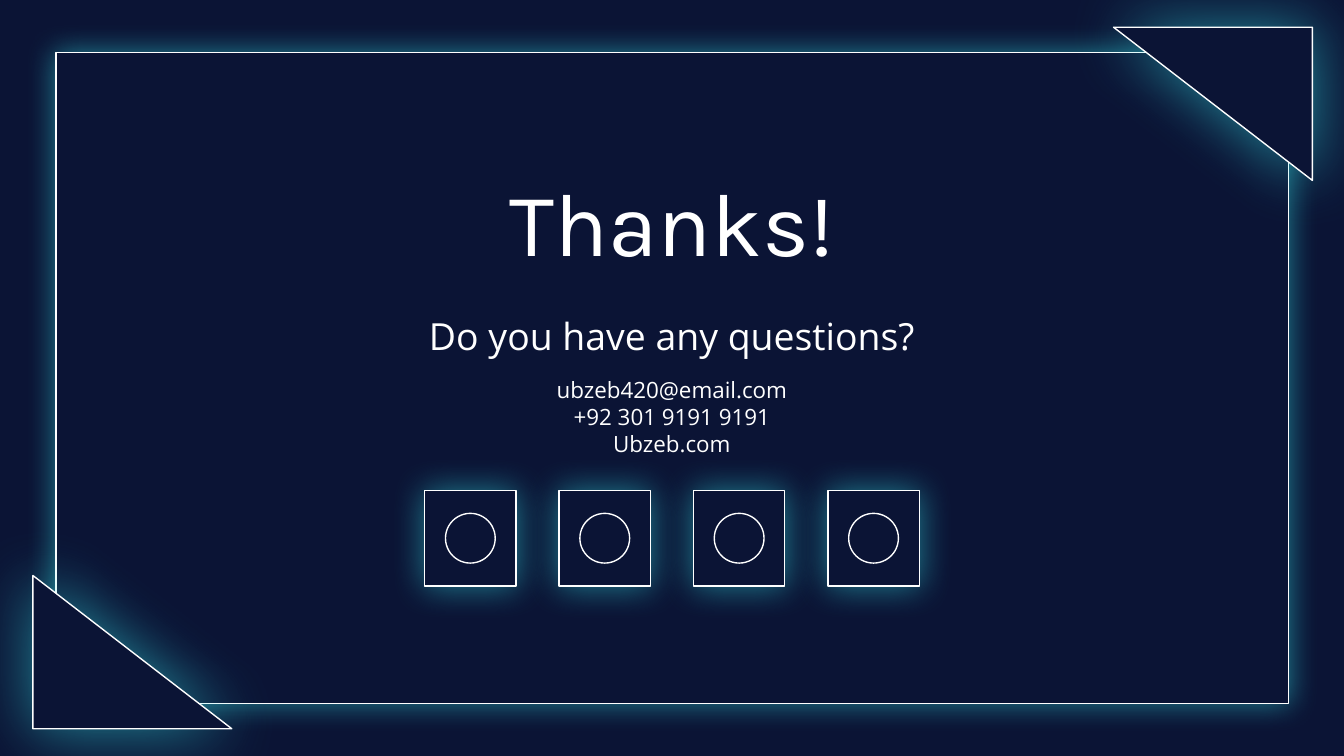
from lxml.etree import SubElement
from pptx import Presentation
from pptx.dml.color import RGBColor
from pptx.enum.shapes import MSO_SHAPE as Shape
from pptx.enum.text import MSO_ANCHOR as Anchor, PP_ALIGN as Align
from pptx.oxml.ns import qn
from pptx.util import Inches, Pt

WIDTH = 10
HEIGHT = WIDTH * 9 / 16
NAVY, WHITE, CYAN = "0B1435", "FFFFFF", "38F1F3"
CONTACTS = ("ubzeb420@email.com", "+92 301 9191 9191", "Ubzeb.com")


def color(value):
    return RGBColor.from_string(value)


def add_glow(shape, blur, opacity):
    effects = shape._element.spPr.find(qn("a:effectLst"))
    shadow = SubElement(effects, qn("a:outerShdw"), blurRad=str(Pt(blur)),
                        dist="0", dir="0", algn="bl", rotWithShape="0")
    tint = SubElement(shadow, qn("a:srgbClr"), val=CYAN)
    SubElement(tint, qn("a:alpha"), val=str(opacity * 1000))


def add_outlined(page, kind, box, blur=0, opacity=50, rotation=0):
    """Add a navy shape with a thin white line and, if blur is set, a glow."""
    shape = page.shapes.add_shape(kind, *map(Inches, box))
    shape.rotation = rotation
    shape.fill.solid()
    shape.fill.fore_color.rgb = color(NAVY)
    shape.line.color.rgb = color(WHITE)
    shape.line.width = Pt(0.75)
    shape.shadow.inherit = False
    if blur:
        add_glow(shape, blur, opacity)


def add_text_box(page, box, anchor=Anchor.TOP):
    frame = page.shapes.add_textbox(*map(Inches, box)).text_frame
    frame.word_wrap = True
    frame.vertical_anchor = anchor
    frame.margin_left = frame.margin_right = Inches(0.1)
    frame.margin_top = frame.margin_bottom = Inches(0.1)
    return frame


def write(para, text, size, font="Open Sans", before=0):
    para.alignment = Align.CENTER
    para.space_before = Pt(before)
    span = para.add_run()
    span.text = text
    span.font.size = Pt(size)
    span.font.name = font
    span.font.color.rgb = color(WHITE)


def add_frame(page, box):
    """Draw the glowing border and its two opposite corner triangles."""
    left, top, width, height = box
    corner_w, corner_h = 1.48, 1.14
    overhang_left, overhang_right, overhang_y = 0.17, 0.18, 0.19
    add_outlined(page, Shape.RECTANGLE, box, blur=15.8, rotation=180)
    right_corner = (left + width + overhang_right - corner_w,
                    top - overhang_y, corner_w, corner_h)
    left_corner = (left - overhang_left,
                   top + height + overhang_y - corner_h, corner_w, corner_h)
    for corner, rotation in ((right_corner, 180), (left_corner, 0)):
        add_outlined(page, Shape.RIGHT_TRIANGLE, corner, blur=34.9,
                     opacity=53, rotation=rotation)


def add_title(page, box):
    write(add_text_box(page, box).paragraphs[0], "Thanks!", 48, font="Karla")


def add_contacts(page, box):
    frame = add_text_box(page, box, Anchor.MIDDLE)
    write(frame.paragraphs[0], "Do you have any questions?", 20)
    for index, line in enumerate(CONTACTS):
        write(frame.add_paragraph(), line, 12, before=0 if index else 10)


def add_social_buttons(page, box, count=4, button_w=0.68, ring=0.37):
    """Spread glowing buttons evenly over the box, each with a plain ring."""
    left, top, width, height = box
    pitch = (width - button_w) / (count - 1)
    lefts = [left + index * pitch for index in range(count)]
    for x in lefts:
        add_outlined(page, Shape.RECTANGLE, (x, top, button_w, height), blur=19.1)
    for x in lefts:
        add_outlined(page, Shape.OVAL, (x + (button_w - ring) / 2,
                                        top + (height - ring) / 2, ring, ring))


def centered(top, width, height):
    return (WIDTH - width) / 2, top, width, height


def main():
    deck = Presentation()
    deck.slide_width, deck.slide_height = Inches(WIDTH), Inches(HEIGHT)
    page = deck.slides.add_slide(deck.slide_layouts[6])
    page.background.fill.solid()
    page.background.fill.fore_color.rgb = color(NAVY)
    add_frame(page, centered((HEIGHT - 4.84) / 2, 9.17, 4.84))
    add_title(page, centered(1.14, 5.1, 0.92))
    add_contacts(page, centered(2.28, 4.7, 1.17))
    add_social_buttons(page, centered(3.65, 3.68, 0.71))
    deck.save("out.pptx")


if __name__ == "__main__":
    main()
